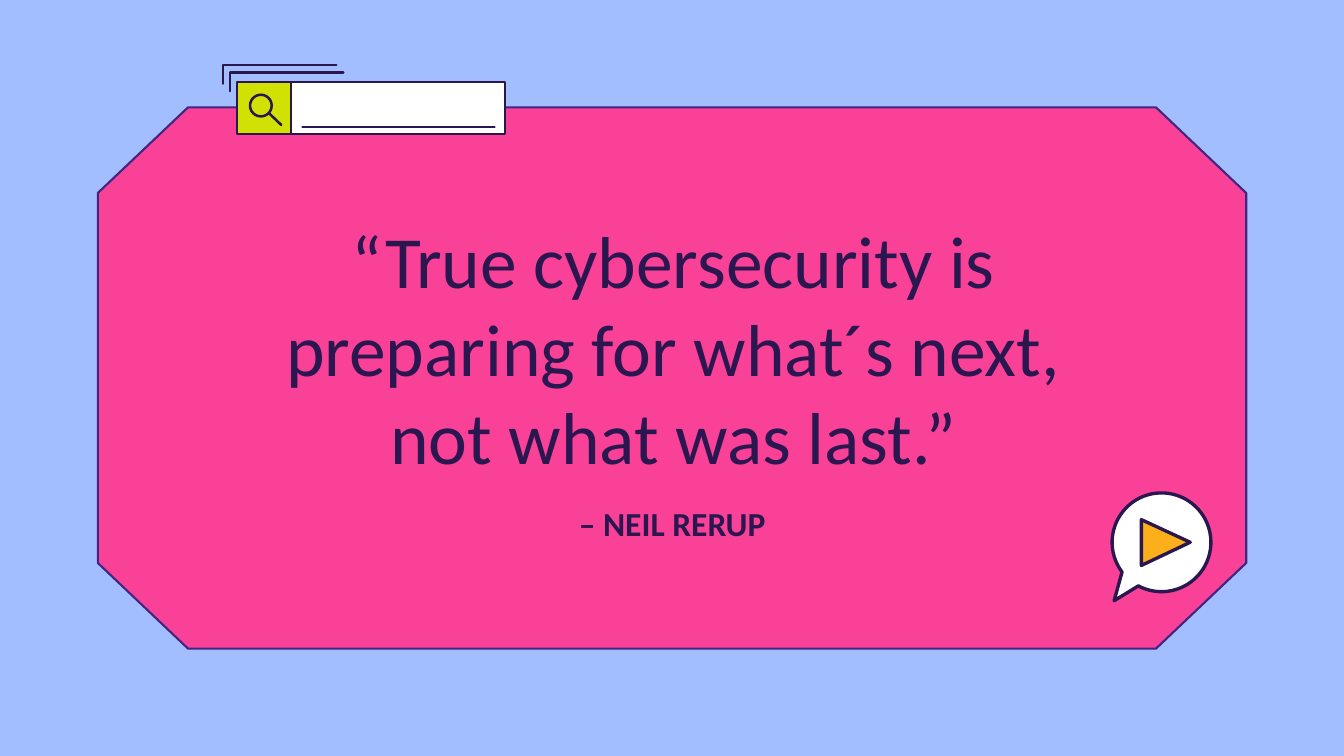
import math

from lxml import etree
from pptx import Presentation
from pptx import util as u
from pptx.dml.color import RGBColor
from pptx.enum import shapes, text
from pptx.oxml.ns import qn

COLUMNS, ROWS = 26.66, 15
CELL = u.Inches(1)

SKY = RGBColor(0xA2, 0xBE, 0xFF)
PINK = RGBColor(0xFA, 0x41, 0x98)
VIOLET = RGBColor(0x42, 0x25, 0x82)
INK = RGBColor(0x2A, 0x17, 0x4F)
LIME = RGBColor(0xD0, 0xE1, 0x03)
WHITE = RGBColor(0xFF, 0xFF, 0xFF)
AMBER = RGBColor(0xFB, 0xAF, 0x1B)
FONT = "Calibri"
THIN, THICK = 3.6, 4.8


def grid(*cells):
    return [u.Emu(round(cell * CELL)) for cell in cells]


def style_line(shape, color, width, rounded=True):
    shape.line.color.rgb = color
    shape.line.width = u.Pt(width)
    if rounded:
        line = shape.line._get_or_add_ln()
        line.set("cap", "rnd")
        etree.SubElement(line, qn("a:round"))


def style_shape(shape, fill, color, width, rounded):
    shape.shadow.inherit = False
    if fill is None:
        shape.fill.background()
    else:
        shape.fill.solid()
        shape.fill.fore_color.rgb = fill
    style_line(shape, color, width, rounded)


def add_preset(slide, kind, box, fill=None, width=THIN, rounded=False):
    shape = slide.shapes.add_shape(kind, *grid(*box))
    style_shape(shape, fill, INK, width, rounded)


def add_outline(slide, points, fill=None, color=INK, width=THIN,
                closed=True, rounded=True):
    corners = [grid(*point) for point in points]
    builder = slide.shapes.build_freeform(*corners[0])
    builder.add_line_segments(corners[1:], close=closed)
    style_shape(builder.convert_to_shape(), fill, color, width, rounded)


def add_line(slide, start, end):
    line = slide.shapes.add_connector(
        shapes.MSO_CONNECTOR.STRAIGHT, *grid(*start, *end))
    style_line(line, INK, THIN)
    etree.SubElement(line._element.spPr, qn("a:effectLst"))


def set_text(shape, words, box, size, bold=False,
             anchor=text.MSO_ANCHOR.TOP):
    shape.left, shape.top, shape.width, shape.height = grid(*box)
    frame = shape.text_frame
    frame.text = words
    frame.word_wrap = True
    frame.auto_size = text.MSO_AUTO_SIZE.NONE
    frame.vertical_anchor = anchor
    frame.margin_left = frame.margin_right = u.Inches(0.3)
    frame.margin_top = frame.margin_bottom = u.Inches(0.05)
    paragraph = frame.paragraphs[0]
    paragraph.alignment = text.PP_ALIGN.CENTER
    font = paragraph.runs[0].font
    font.name, font.size, font.bold = FONT, u.Pt(size), bold
    font.color.rgb = INK


def add_panel(slide):
    """Draw the pink panel with its four corners cut off."""
    left, top = 1.94, 2.13
    right, bottom = COLUMNS - left, ROWS - top
    across, down = 1.79, 1.7
    add_outline(slide, [
        (left + across, top), (right - across, top),
        (right, top + down), (right, bottom - down),
        (right - across, bottom), (left + across, bottom),
        (left, bottom - down), (left, top + down),
    ], PINK, VIOLET, 3, rounded=False)


def add_search_bar(slide):
    left, top, height = 4.7, 1.63, 1.03
    button, field = 1.07, 4.25
    rectangle = shapes.MSO_SHAPE.RECTANGLE
    add_preset(slide, rectangle, (left, top, button, height), LIME)
    add_preset(slide, rectangle, (left + button, top, field, height), WHITE)
    add_line(slide, (6, 2.52), (9.81, 2.52))
    add_preset(slide, shapes.MSO_SHAPE.OVAL, (4.96, 1.88, 0.43, 0.43))
    add_line(slide, (5.34, 2.25), (5.58, 2.48))
    for step in (1, 2):
        x, y = left - 0.14 * step, top - 0.04 - 0.15 * step
        add_outline(slide, [(x, y + 0.37), (x, y), (x + 2.25, y)],
                    closed=False)


def add_play_bubble(slide):
    center_x, center_y, radius = 23.04, 10.76, 0.98
    tail_start, tail_end, step = 118, 143, 5
    angles = [*range(tail_end, 360 + tail_start, step), 360 + tail_start]
    rim = [(center_x + radius * math.cos(math.radians(angle)),
            center_y + radius * math.sin(math.radians(angle)))
           for angle in angles]
    add_outline(slide, rim + [(22.1, 11.92)], WHITE, width=THICK)
    add_outline(slide, [(22.64, 10.31), (23.61, 10.76), (22.64, 11.22)],
                AMBER, width=THICK)


def add_quote(slide):
    credit = slide.shapes.add_textbox(0, 0, 0, 0)
    set_text(credit, "– NEIL RERUP", (4.4, 9.93, 17.87, 0.91), 48, bold=True)
    quote = slide.shapes.title
    set_text(quote,
             "“True cybersecurity is preparing for what´s next, "
             "not what was last.”",
             (4.42, 4.16, 17.87, 5.4), 105, anchor=text.MSO_ANCHOR.BOTTOM)
    # The placeholder starts at the back, so bring it in front of the panel.
    credit.element.addnext(quote.element)


def main():
    presentation = Presentation()
    presentation.slide_width, presentation.slide_height = grid(COLUMNS, ROWS)
    slide = presentation.slides.add_slide(presentation.slide_layouts[5])
    slide.background.fill.solid()
    slide.background.fill.fore_color.rgb = SKY
    add_panel(slide)
    add_search_bar(slide)
    add_play_bubble(slide)
    add_quote(slide)
    presentation.save("out.pptx")


if __name__ == "__main__":
    main()
